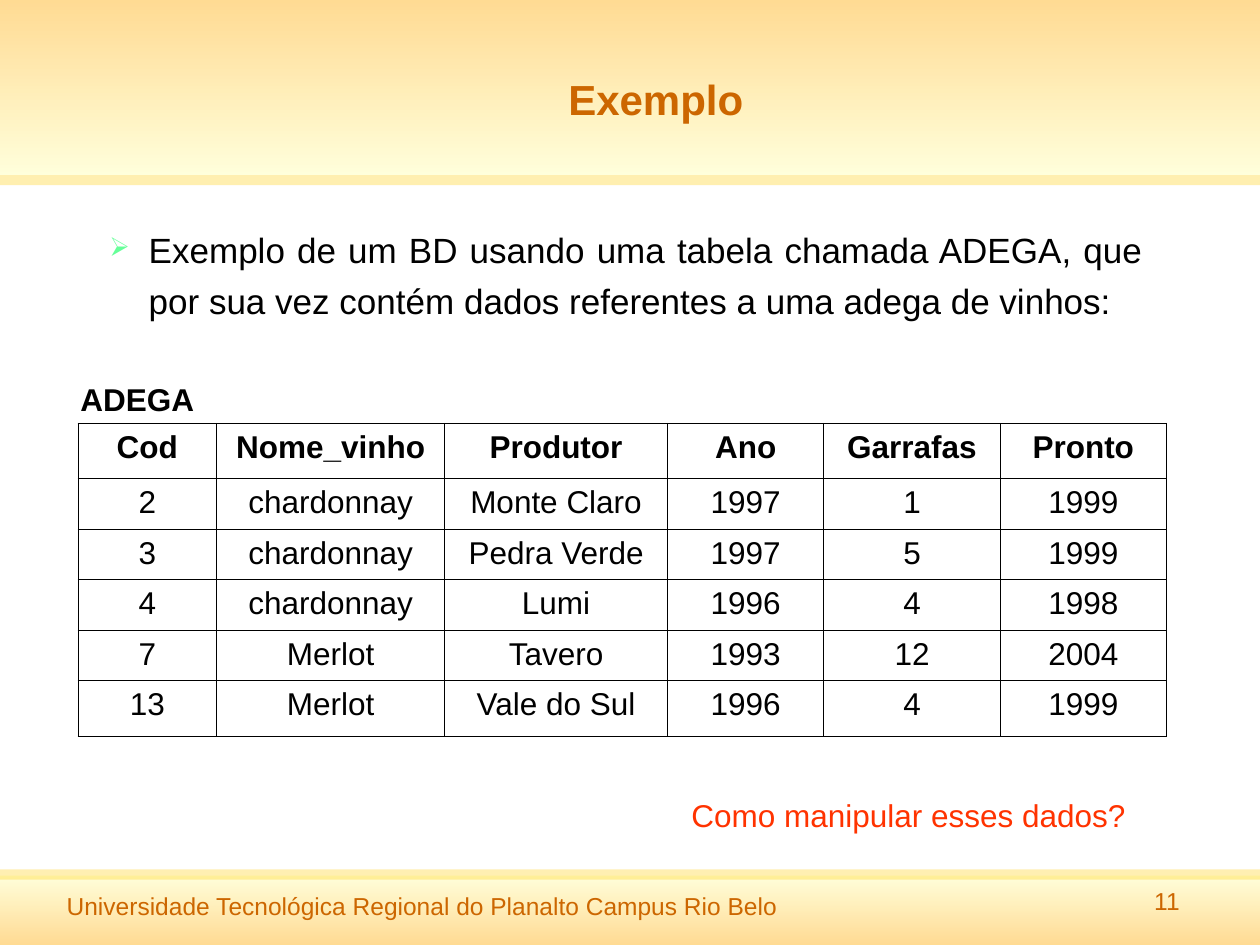
from lxml.etree import SubElement
from pptx import Presentation
from pptx.dml.color import RGBColor
from pptx.enum.shapes import MSO_SHAPE as Shape
from pptx.enum.text import MSO_ANCHOR as Anchor, PP_ALIGN as Align
from pptx.oxml.ns import qn
from pptx.util import Pt

SLIDE_WIDTH, SLIDE_HEIGHT = 720, 540
ORANGE, BLACK, RED = "CC6600", "000000", "FF3300"
CREAM, AMBER, GOLD = "FFFFCC", "FFCC66", "FFCC00"
BULLET_GREEN = "66FF99"

COLUMN_WIDTHS = [79.2, 130.3, 127.4, 89.3, 100.8, 95]
ROW_HEIGHTS = [31.7, 28.8, 28.8, 28.8, 28.8, 31.7]
WINES = [
    ["Cod", "Nome_vinho", "Produtor", "Ano", "Garrafas", "Pronto"],
    ["2", "chardonnay", "Monte Claro", "1997", "1", "1999"],
    ["3", "chardonnay", "Pedra Verde", "1997", "5", "1999"],
    ["4", "chardonnay", "Lumi", "1996", "4", "1998"],
    ["7", "Merlot", "Tavero", "1993", "12", "2004"],
    ["13", "Merlot", "Vale do Sul", "1996", "4", "1999"],
]


def rgb(hex_color):
    return RGBColor.from_string(hex_color)


def write(frame, text, size=18, color=BLACK, bold=False, align=Align.LEFT,
          anchor=Anchor.TOP):
    frame.word_wrap = True
    frame.vertical_anchor = anchor
    paragraph = frame.paragraphs[0]
    paragraph.alignment = align
    run = paragraph.add_run()
    run.text = text
    run.font.name = "Arial"
    run.font.size = Pt(size)
    run.font.bold = bold
    run.font.color.rgb = rgb(color)
    return paragraph


def add_text(slide, left, top, width, height, text, **text_format):
    box = slide.shapes.add_textbox(Pt(left), Pt(top), Pt(width), Pt(height))
    return write(box.text_frame, text, **text_format)


def add_band(slide, top, height, colors, opacity):
    """Add a full-width translucent band: one colour is solid, two a gradient."""
    band = slide.shapes.add_shape(
        Shape.RECTANGLE, 0, Pt(top), Pt(SLIDE_WIDTH), Pt(height))
    band.shadow.inherit = False
    band.line.fill.background()
    if len(colors) == 1:
        band.fill.solid()
        band.fill.fore_color.rgb = rgb(colors[0])
    else:
        band.fill.gradient()
        band.fill.gradient_angle = 270
        for stop, color in zip(band.fill.gradient_stops, colors):
            stop.color.rgb = rgb(color)
    for color_node in band._element.spPr.iter(qn("a:srgbClr")):
        SubElement(color_node, qn("a:alpha"), val=str(opacity * 1000))


def add_bullet(paragraph, symbol, color, percent, margin, indent):
    properties = paragraph._p.get_or_add_pPr()
    properties.set("marL", str(Pt(margin)))
    properties.set("indent", str(Pt(indent)))
    bullet_color = SubElement(properties, qn("a:buClr"))
    SubElement(bullet_color, qn("a:srgbClr"), val=color)
    SubElement(properties, qn("a:buSzPct"), val=str(percent * 1000))
    SubElement(properties, qn("a:buChar"), char=symbol)


def add_cell_borders(cell, color, width):
    properties = cell._tc.get_or_add_tcPr()
    for side in ("L", "R", "T", "B"):
        line = SubElement(properties, qn(f"a:ln{side}"), w=str(Pt(width)))
        fill = SubElement(line, qn("a:solidFill"))
        SubElement(fill, qn("a:srgbClr"), val=color)


def add_wine_table(slide, left, top):
    table = slide.shapes.add_table(
        len(WINES), len(COLUMN_WIDTHS), Pt(left), Pt(top),
        Pt(sum(COLUMN_WIDTHS)), Pt(sum(ROW_HEIGHTS))).table
    table.first_row = table.horz_banding = False
    for column, width in zip(table.columns, COLUMN_WIDTHS):
        column.width = Pt(width)
    for row, height in zip(table.rows, ROW_HEIGHTS):
        row.height = Pt(height)
    for row_index, wine in enumerate(WINES):
        for column_index, value in enumerate(wine):
            cell = table.cell(row_index, column_index)
            write(cell.text_frame, value, bold=row_index == 0, align=Align.CENTER)
            add_cell_borders(cell, BLACK, 0.45)
            cell.fill.background()


def main():
    deck = Presentation()
    deck.slide_width, deck.slide_height = Pt(SLIDE_WIDTH), Pt(SLIDE_HEIGHT)
    slide = deck.slides.add_slide(deck.slide_layouts[6])

    add_band(slide, 500.4, 39.6, [CREAM, AMBER], 70)
    add_band(slide, 0, 100, [AMBER, CREAM], 70)
    add_band(slide, 100, 5.8, [GOLD], 31)
    add_band(slide, 496.8, 5.8, [GOLD], 30)

    add_text(slide, 31, 505.4, 487.4, 24.5,
             "Universidade Tecnológica Regional do Planalto Campus Rio Belo",
             size=14, color=ORANGE)
    add_text(slide, 513.4, 502.6, 167.8, 37.4, "11",
             size=14, color=ORANGE, align=Align.RIGHT)
    add_text(slide, 93.6, 11.5, 562.3, 90, "Exemplo", size=24, color=ORANGE,
             bold=True, align=Align.CENTER, anchor=Anchor.MIDDLE)

    introduction = add_text(
        slide, 19.4, 122.4, 640.8, 90.7,
        "Exemplo de um BD usando uma tabela chamada ADEGA, que por sua vez "
        "contém dados referentes a uma adega de vinhos:",
        size=20, align=Align.JUSTIFY)
    introduction.line_spacing = 1.2
    introduction.space_before = Pt(5.5)
    add_bullet(introduction, "➢", BULLET_GREEN, 75, margin=58.5, indent=-22.5)

    add_wine_table(slide, 44.6, 241.9)
    add_text(slide, 388, 451.4, 283.7, 28.8, "Como manipular esses dados?", color=RED)
    add_text(slide, 38.9, 213.8, 90.7, 28.8, "ADEGA", bold=True)

    deck.save("out.pptx")


if __name__ == "__main__":
    main()
